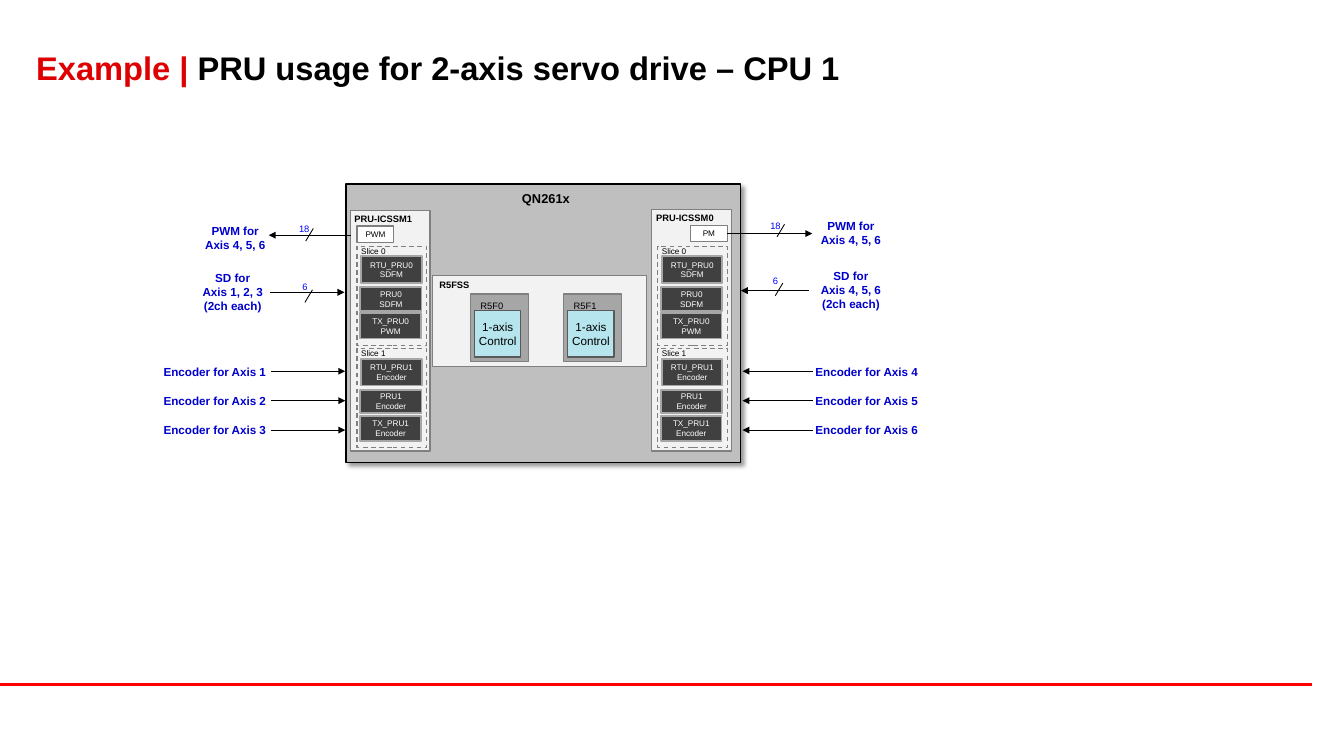
"""Build the slide on PRU usage for a two-axis servo drive."""
from dataclasses import dataclass

import pptx
import pptx.dml.color
import pptx.enum.dml
import pptx.enum.shapes
import pptx.enum.text
import pptx.oxml
import pptx.oxml.ns
import pptx.util

EMU_PER_PX = 9144
FONT = "Arial"
BLACK, WHITE, BLUE = "000000", "FFFFFF", "0000CC"
GREY, LIGHT, DARK, SILVER = "808080", "F2F2F2", "404040", "A6A6A6"
ALIGN = pptx.enum.text.PP_ALIGN
ANCHOR = pptx.enum.text.MSO_ANCHOR
DASH = pptx.enum.dml.MSO_LINE.DASH
NAMESPACE = pptx.oxml.ns.nsdecls("a")
Area = tuple[int, int, int, int]
Point = tuple[int, int]


@dataclass
class Style:
    """Text formatting of a box or a label."""

    size: float
    color: str = BLACK
    bold: bool = False
    align: ALIGN = ALIGN.LEFT
    anchor: ANCHOR = ANCHOR.TOP
    insets: Area = (0, 0, 0, 0)
    wrap: bool = True


@dataclass
class Module:
    """A PRU subsystem with its output port and two slices."""

    name: str
    area: Area
    port: str
    port_position: Point
    slice_left: int


@dataclass
class Bus:
    """A labelled signal bus with its width marked on the arrow."""

    label: str
    area: Area
    start: Point
    end: Point
    width: str
    width_position: Point
    slash: Point


CENTERED = Style(7, align=ALIGN.CENTER, anchor=ANCHOR.MIDDLE)
CORE = Style(7, WHITE, align=ALIGN.CENTER, anchor=ANCHOR.MIDDLE)
CONTROL = Style(10, align=ALIGN.CENTER, anchor=ANCHOR.MIDDLE, wrap=False)
CHIP = Style(11, bold=True, align=ALIGN.CENTER, insets=(6, 8, 0, 0))
MODULE = Style(8, bold=True, insets=(5, 3, 0, 0))
SUBSYSTEM = Style(8, bold=True, insets=(8, 5, 0, 0))
PROCESSOR = Style(8, insets=(12, 7, 0, 0))
SLICE = Style(7, insets=(5, 0, 0, 0))
BUS = Style(10, BLUE, True, ALIGN.CENTER, insets=(10, 5, 10, 5))
ENCODER = Style(10, BLUE, True, insets=(10, 5, 10, 5))
WIDTH = Style(8, "0000FF", insets=(4, 5, 4, 5))

MODULES = [
    Module("PRU-ICSSM1", (417, 251, 95, 286), "PWM", (425, 269), 425),
    Module("PRU-ICSSM0", (776, 249, 95, 288), "PM", (822, 268), 783),
]
SLICE_ROLES = [("SDFM", "SDFM", "PWM"), ("Encoder", "Encoder", "Encoder")]
CORES = [("RTU_PRU", (5, 12, 72, 32)), ("PRU", (4, 49, 73, 28)), ("TX_PRU", (4, 80, 72, 30))]
BUSES = [
    Bus("PWM for\nAxis 4, 5, 6", (223, 262, 114, 44), (418, 280), (320, 280), "18", (352, 261), (373, 272)),
    Bus("SD for\nAxis 1, 2, 3 (2ch each)", (225, 318, 104, 61), (322, 348), (410, 348), "6", (356, 330), (372, 345)),
    Bus("SD for\nAxis 4, 5, 6 (2ch each)", (961, 315, 104, 61), (963, 346), (882, 346), "6", (916, 323), (932, 337)),
    Bus("PWM for\nAxis 4, 5, 6", (956, 256, 114, 44), (866, 278), (967, 278), "18", (913, 257), (934, 267)),
]
ENCODER_SIDES = [(1, 185, 323, 411), (4, 961, 968, 884)]


def px(*lengths: int) -> list[int]:
    """Convert px to EMU."""
    return [length * EMU_PER_PX for length in lengths]


def rgb(color: str) -> pptx.dml.color.RGBColor:
    """Convert a hex string to a colour."""
    return pptx.dml.color.RGBColor.from_string(color)


def write(shape, text: str, style: Style) -> None:
    """Fill a shape with formatted paragraphs."""
    frame = shape.text_frame
    frame.text = text
    frame.word_wrap = style.wrap
    frame.vertical_anchor = style.anchor
    frame.margin_left, frame.margin_top, frame.margin_right, frame.margin_bottom = px(*style.insets)
    for paragraph in frame.paragraphs:
        paragraph.alignment = style.align
        paragraph.font.name = FONT
        paragraph.font.size = pptx.util.Pt(style.size)
        paragraph.font.bold = style.bold
        paragraph.font.color.rgb = rgb(style.color)


def add_box(slide, area: Area, fill: str | None, line: str, text: str, style: Style, weight: float = 1):
    """Add an outlined rectangle with text."""
    shape = slide.shapes.add_shape(pptx.enum.shapes.MSO_SHAPE.RECTANGLE, *px(*area))
    shape.shadow.inherit = False
    if fill:
        shape.fill.solid()
        shape.fill.fore_color.rgb = rgb(fill)
    else:
        shape.fill.background()
    shape.line.color.rgb = rgb(line)
    shape.line.width = pptx.util.Pt(weight)
    write(shape, text, style)
    return shape


def add_label(slide, area: Area, text: str, style: Style) -> None:
    """Add a text box."""
    write(slide.shapes.add_textbox(*px(*area)), text, style)


def add_line(slide, start: Point, end: Point, weight: float, color: str = BLACK, arrow: bool = False):
    """Add a straight line, with an arrowhead at its end if asked."""
    connector = slide.shapes.add_connector(pptx.enum.shapes.MSO_CONNECTOR.STRAIGHT, *px(*start, *end))
    connector.line.color.rgb = rgb(color)
    connector.line.width = pptx.util.Pt(weight)
    if arrow:
        connector.line._get_or_add_ln().append(pptx.oxml.parse_xml(f'<a:tailEnd {NAMESPACE} type="triangle"/>'))
    connector._element.spPr.append(pptx.oxml.parse_xml(f"<a:effectLst {NAMESPACE}/>"))
    return connector


def add_title(slide) -> None:
    """Place and format the title."""
    title = slide.shapes.title
    title.left, title.top, title.width, title.height = px(35, 51, 1353, 67)
    frame = title.text_frame
    frame.auto_size = pptx.enum.text.MSO_AUTO_SIZE.NONE
    frame.vertical_anchor = ANCHOR.MIDDLE
    frame.margin_left, frame.margin_top, frame.margin_right, frame.margin_bottom = px(8, 4, 8, 4)
    paragraph = frame.paragraphs[0]
    paragraph.alignment = ALIGN.LEFT
    paragraph.line_spacing = 0.85
    paragraph.font.name = FONT
    paragraph.font.size = pptx.util.Pt(28)
    paragraph.font.bold = True
    for text, color in [("Example | ", "DE0000"), ("PRU usage for 2-axis servo drive – CPU 1", BLACK)]:
        run = paragraph.add_run()
        run.text = text
        run.font.color.rgb = rgb(color)


def add_chip(slide) -> None:
    """Draw the chip with its processor subsystem."""
    chip = add_box(slide, (412, 219, 470, 332), "BFBFBF", BLACK, "QN261x", CHIP)
    effects = chip._element.spPr.find(pptx.oxml.ns.qn("a:effectLst"))
    effects.append(pptx.oxml.parse_xml(
        f'<a:outerShdw {NAMESPACE} blurRad="50800" dist="38100" dir="2700000" algn="tl">'
        '<a:srgbClr val="000000"><a:alpha val="40000"/></a:srgbClr></a:outerShdw>'))
    add_box(slide, (515, 328, 255, 108), LIGHT, GREY, "R5FSS", SUBSYSTEM)
    for number, left in enumerate((560, 671)):
        add_box(slide, (left, 350, 69, 80), SILVER, GREY, f"R5F{number}", PROCESSOR)
        add_box(slide, (left + 5, 370, 55, 55), "B7E5EE", "595959", "1-axis\nControl", CONTROL)


def add_module(slide, module: Module):
    """Draw a PRU subsystem and return its port."""
    add_box(slide, module.area, LIGHT, GREY, module.name, MODULE)
    port = add_box(slide, (*module.port_position, 44, 20), WHITE, GREY, module.port, CENTERED)
    for number, roles in enumerate(SLICE_ROLES):
        left, top = module.slice_left, 293 + 122 * number
        outline = add_box(slide, (left, top, 83, 118), None, GREY, f"Slice {number}", SLICE)
        outline.line.dash_style = DASH
        for (core, (x, y, width, height)), role in zip(CORES, roles):
            area = (left + x, top + y, width, height)
            add_box(slide, area, DARK, SILVER, f"{core}{number}\n{role}", CORE, 1.5)
    return port


def add_bus(slide, bus: Bus):
    """Draw a signal bus and return its arrow."""
    add_label(slide, bus.area, bus.label, BUS)
    add_label(slide, (*bus.width_position, 23, 24), bus.width, WIDTH)
    x, y = bus.slash
    add_line(slide, bus.slash, (x - 9, y + 15), 0.75)
    return add_line(slide, bus.start, bus.end, 0.5, arrow=True)


def main() -> None:
    """Build and save the presentation."""
    presentation = pptx.Presentation()
    presentation.slide_width, presentation.slide_height = px(1600, 900)
    slide = presentation.slides.add_slide(presentation.slide_layouts[5])
    add_line(slide, (0, 815), (1562, 815), 2.25, "FF0000")
    add_title(slide)
    add_chip(slide)
    ports = [add_module(slide, module) for module in MODULES]
    arrows = [add_bus(slide, bus) for bus in BUSES]
    arrows[-1].begin_connect(ports[-1], 3)
    for first_axis, label_left, start, end in ENCODER_SIDES:
        for row in range(3):
            top = 429 + 35 * row
            add_label(slide, (label_left, top, 150, 27), f"Encoder for Axis {first_axis + row}", ENCODER)
            add_line(slide, (start, top + 13), (end, top + 13), 0.5, arrow=True)
    presentation.save("out.pptx")


if __name__ == "__main__":
    main()
